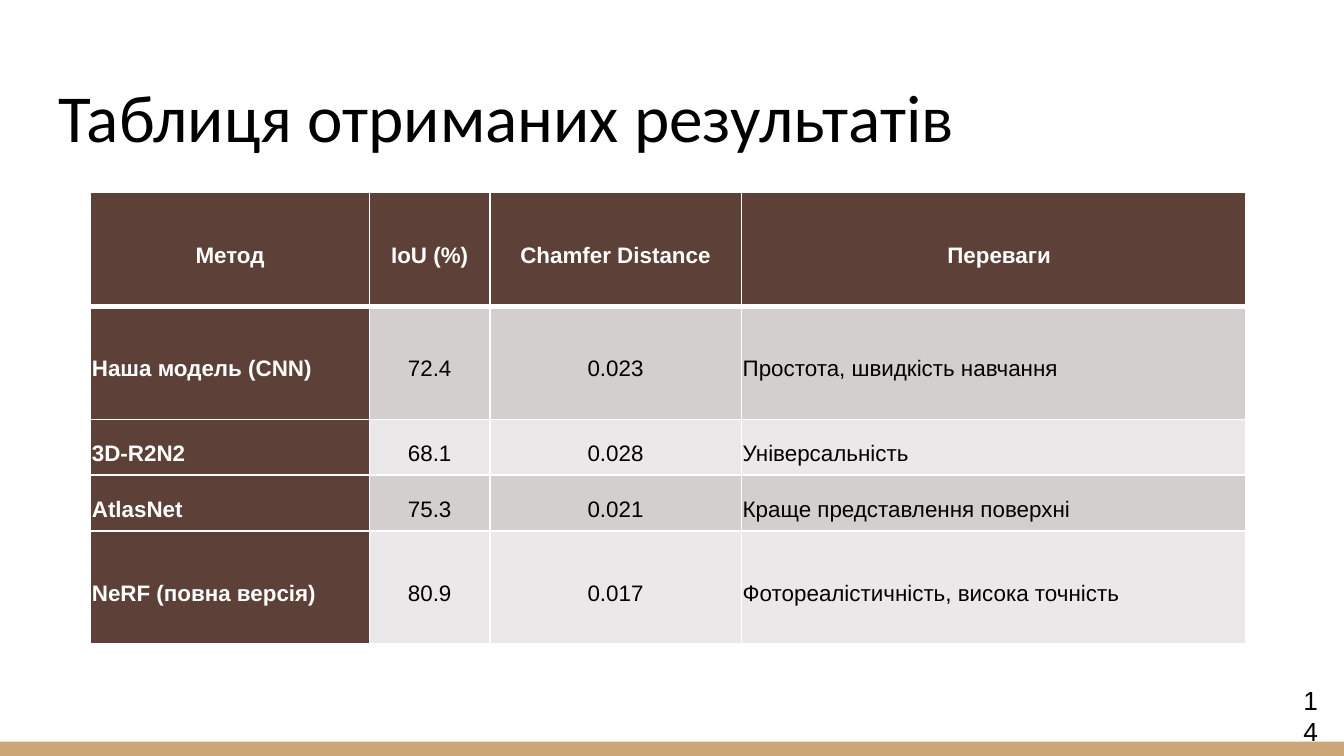
from lxml import etree
from pptx import Presentation
from pptx import util as u
from pptx.dml.color import RGBColor
from pptx.enum import shapes, text
from pptx.oxml import ns

COLORS = {
    "bar": "CCA677", "brown": "5D4037", "odd": "D2CFCE", "even": "EAE8E8",
    "white": "FFFFFF", "black": "000000",
}
TITLE = "Таблиця отриманих результатів"
PAGE_NUMBER = "14"
ROWS = [
    ("Метод", "IoU (%)", "Chamfer Distance", "Переваги"),
    ("Наша модель (CNN)", "72.4", "0.023", "Простота, швидкість навчання"),
    ("3D-R2N2", "68.1", "0.028", "Універсальність"),
    ("AtlasNet", "75.3", "0.021", "Краще представлення поверхні"),
    ("NeRF (повна версія)", "80.9", "0.017", "Фотореалістичність, висока точність"),
]
COLUMN_WIDTHS = [149.5, 64.4, 134.8, 270.5]
ROW_HEIGHTS = [60.8, 60.8, 29.8, 29.8, 60.8]
SLIDE_WIDTH, SLIDE_HEIGHT = 720, 405
BAR_HEIGHT = 7.6
TABLE_LEFT, TABLE_TOP = 48.5, 103.2


def color(name):
    return RGBColor.from_string(COLORS[name])


def style_font(paragraph, size, name, ink, bold=False):
    for run in paragraph.runs:
        run.font.size = u.Pt(size)
        run.font.name = name
        run.font.bold = bold
        run.font.color.rgb = color(ink)


def add_text(slide, content, box, size, font_name, anchor):
    shape = slide.shapes.add_textbox(*map(u.Pt, box))
    frame = shape.text_frame
    frame.word_wrap = True
    frame.vertical_anchor = anchor
    frame.text = content
    style_font(frame.paragraphs[0], size, font_name, "black")
    return frame


def add_borders(cell, bottom_width):
    properties = cell._tc.get_or_add_tcPr()
    widths = {"lnL": 1, "lnR": 1, "lnT": 1, "lnB": bottom_width}
    for index, (tag, width) in enumerate(widths.items()):
        line = etree.Element(ns.qn(f"a:{tag}"), w=str(u.Pt(width)))
        fill = etree.SubElement(line, ns.qn("a:solidFill"))
        etree.SubElement(fill, ns.qn("a:srgbClr"), val=COLORS["white"])
        properties.insert(index, line)


def fill_cell(cell, content, row, column):
    is_heading = row == 0 or column == 0
    is_centred = row == 0 or column in (1, 2)
    cell.margin_left = cell.margin_right = u.Pt(0.75)
    cell.margin_top = cell.margin_bottom = u.Pt(0.75)
    cell.vertical_anchor = text.MSO_ANCHOR.MIDDLE
    cell.fill.solid()
    cell.fill.fore_color.rgb = color("brown" if is_heading else "odd" if row % 2 else "even")
    add_borders(cell, 3 if row == 0 else 1)
    cell.text_frame.text = content
    paragraph = cell.text_frame.paragraphs[0]
    paragraph.alignment = text.PP_ALIGN.CENTER if is_centred else text.PP_ALIGN.LEFT
    paragraph.line_spacing = 1.5
    paragraph.space_after = u.Pt(10)
    style_font(paragraph, 12, "Arial", "white" if is_heading else "black", is_heading)


def add_results_table(slide):
    table = slide.shapes.add_table(
        len(ROWS), len(COLUMN_WIDTHS), u.Pt(TABLE_LEFT), u.Pt(TABLE_TOP),
        u.Pt(sum(COLUMN_WIDTHS)), u.Pt(sum(ROW_HEIGHTS)),
    ).table
    for column, width in zip(table.columns, COLUMN_WIDTHS):
        column.width = u.Pt(width)
    for row, height in zip(table.rows, ROW_HEIGHTS):
        row.height = u.Pt(height)
    for row, values in enumerate(ROWS):
        for column, value in enumerate(values):
            fill_cell(table.cell(row, column), value, row, column)
    last_heading = table.cell(0, len(COLUMN_WIDTHS) - 1).text_frame.paragraphs[0]
    last_heading.space_after = u.Pt(8)
    last_heading._p.get_or_add_pPr().set("indent", str(u.Pt(5.75)))


def main():
    presentation = Presentation()
    presentation.slide_width = u.Pt(SLIDE_WIDTH)
    presentation.slide_height = u.Pt(SLIDE_HEIGHT)
    slide = presentation.slides.add_slide(presentation.slide_layouts[6])

    bar = slide.shapes.add_shape(
        shapes.MSO_SHAPE.RECTANGLE, 0, u.Pt(SLIDE_HEIGHT - BAR_HEIGHT),
        u.Pt(SLIDE_WIDTH), u.Pt(BAR_HEIGHT),
    )
    bar.shadow.inherit = False
    bar.fill.solid()
    bar.fill.fore_color.rgb = color("bar")
    bar.line.fill.background()

    title = add_text(slide, TITLE, (24.5, 25.2, 671, 65.5), 36, "Calibri",
                     text.MSO_ANCHOR.BOTTOM)
    title.margin_top = title.margin_bottom = u.Pt(7.2)
    add_results_table(slide)
    add_text(slide, PAGE_NUMBER, (691.2, 362.9, 22.3, 24.5), 14, "Arial",
             text.MSO_ANCHOR.TOP)
    presentation.save("out.pptx")


if __name__ == "__main__":
    main()
